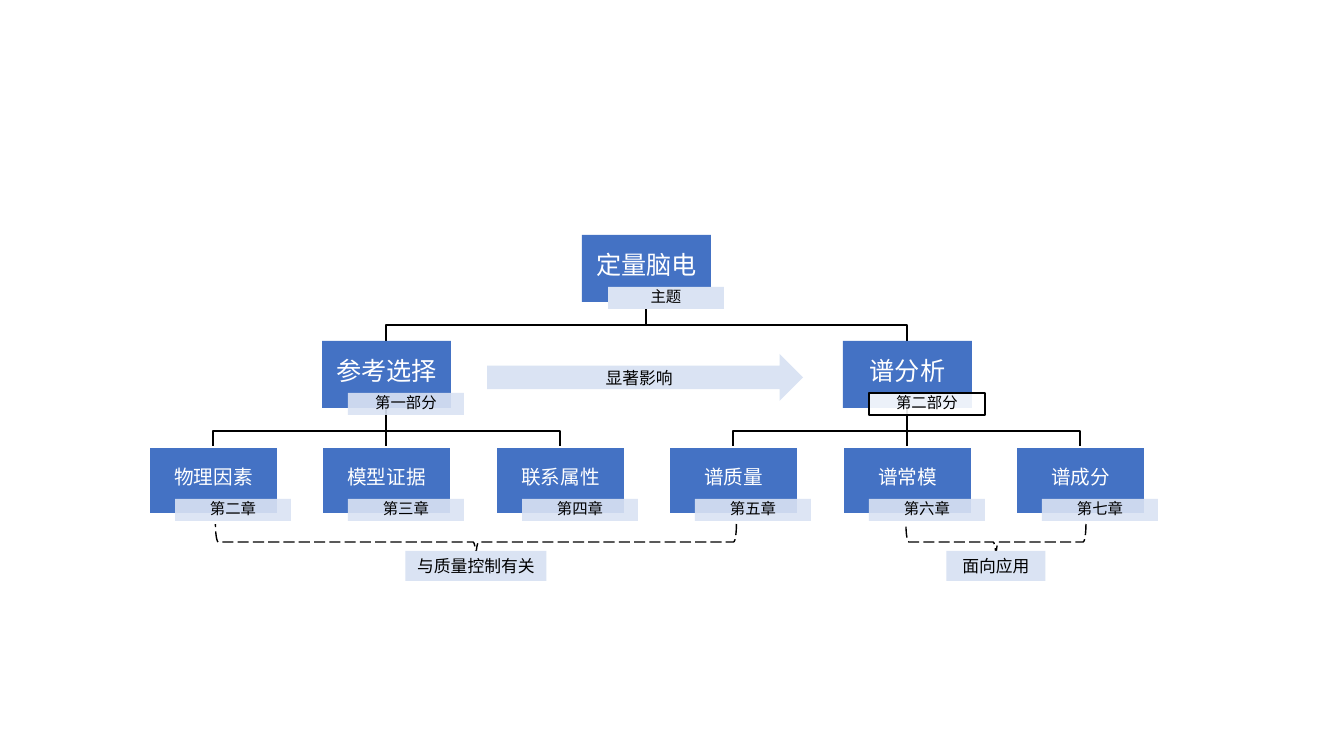
import pptx
import pptx.util
import pptx.dml.color
import pptx.enum.shapes
import pptx.enum.text
import pptx.enum.dml
import pptx.oxml.ns
import lxml.etree

SCALE = 914400 / 100.8
COLORS = {"blue": "4472C4", "pale": "DAE3F3", "white": "FFFFFF", "black": "000000"}
FONT = "Noto Sans CJK SC"
Kind = pptx.enum.shapes.MSO_SHAPE
qn = pptx.oxml.ns.qn


def color(name):
    return pptx.dml.color.RGBColor.from_string(COLORS[name])


def block(kind, place, fill, line=None, text="", size=12, ink="black", font=FONT, pads=(10, 5, 10, 5)):
    shape = slide.shapes.add_shape(kind, *[round(n * SCALE) for n in place])
    shape.shadow.inherit = False
    if fill:
        shape.fill.solid()
        shape.fill.fore_color.rgb = color(fill)
    else:
        shape.fill.background()
    if line:
        shape.line.color.rgb = color(line)
        shape.line.width = pptx.util.Pt(1)
    else:
        shape.line.fill.background()
    if text:
        frame = shape.text_frame
        frame.text = text
        frame.word_wrap = True
        frame.vertical_anchor = pptx.enum.text.MSO_ANCHOR.MIDDLE
        frame.margin_left, frame.margin_top, frame.margin_right, frame.margin_bottom = [
            round(n * SCALE) for n in pads]
        para = frame.paragraphs[0]
        para.alignment = pptx.enum.text.PP_ALIGN.CENTER
        run = para.runs[0]
        run.font.size = pptx.util.Pt(size)
        run.font.name = font
        run.font.color.rgb = color(ink)
        east = lxml.etree.SubElement(run._r.get_or_add_rPr(), qn("a:ea"))
        east.set("typeface", FONT)
    return shape


deck = pptx.Presentation()
deck.slide_width = round(1344 * SCALE)
deck.slide_height = round(756 * SCALE)
slide = deck.slides.add_slide(deck.slide_layouts[6])

WIDE, HIGH = 129, 67
ROWS = [235, 341, 447]
COLS = [213 + round(i * 173.4) for i in range(6)]
ROOT = 646

nodes = [
    (ROOT, 0, "定量脑电", "主题"),
    (COLS[1], 1, "参考选择", "第一部分"),
    (COLS[4], 1, "谱分析", "第二部分"),
]
leaves = ["物理因素", "模型证据", "联系属性", "谱质量", "谱常模", "谱成分"]
for mid, name, num in zip(COLS, leaves, "二三四五六七"):
    nodes.append((mid, 2, name, f"第{num}章"))

links = [(ROOT, COLS[i], 0) for i in (1, 4)]
links += [(COLS[i // 3 * 3 + 1], COLS[i], 1) for i in range(6)]
for start, end, row in links:
    top, low = ROWS[row] + HIGH, ROWS[row + 1]
    if start == end:
        link = slide.shapes.add_connector(
            pptx.enum.shapes.MSO_CONNECTOR.STRAIGHT,
            *[round(n * SCALE) for n in (start, top, end, low)])
        lxml.etree.SubElement(link._element.spPr, qn("a:effectLst"))
    else:
        bend = low - 16
        path = slide.shapes.build_freeform(start, top, scale=SCALE)
        path.add_line_segments([(start, bend), (end, bend), (end, low)], close=False)
        link = path.convert_to_shape()
        link.shadow.inherit = False
        link.fill.background()
    link.line.color.rgb = color("black")
    link.line.width = pptx.util.Pt(1)

for mid, row, name, tag in nodes:
    left, top = mid - WIDE // 2, ROWS[row]
    block(Kind.RECTANGLE, (left, top, WIDE, HIGH), "blue", "white" if row == 2 else None,
          name, 14 if row == 2 else 18, "white", pads=(1, 1, 1, 9))
    framed = tag == "第二部分"
    edge = "black" if framed else None
    note = block(Kind.RECTANGLE, (left + 26, top + 52, 116, 22), "white" if framed else "pale",
                 edge, tag, 11, font="Calibri", pads=(3, 1, 3, 1))
    note.text_frame.paragraphs[0].line_spacing = 0.9
    if row:
        tint = note._element.spPr.find(qn("a:solidFill"))[0]
        lxml.etree.SubElement(tint, qn("a:alpha")).set("val", "90000")

block(Kind.RIGHT_ARROW, (487, 354, 316, 47), "pale", text="显著影响")

groups = [(476, 521, 476, 141, "与质量控制有关"), (996, 180, 996, 99, "面向应用")]
for mid, span, spot, width, text in groups:
    brace = block(Kind.LEFT_BRACE, (mid - 18, 542 - span / 2, 36, span), None, "black")
    brace.rotation = 270
    brace.adjustments[0] = 0.08
    brace.adjustments[1] = 0.5
    brace.line.dash_style = pptx.enum.dml.MSO_LINE.LONG_DASH
    block(Kind.RECTANGLE, (spot - width / 2, 551, width, 30), "pale", text=text)

deck.save("out.pptx")
